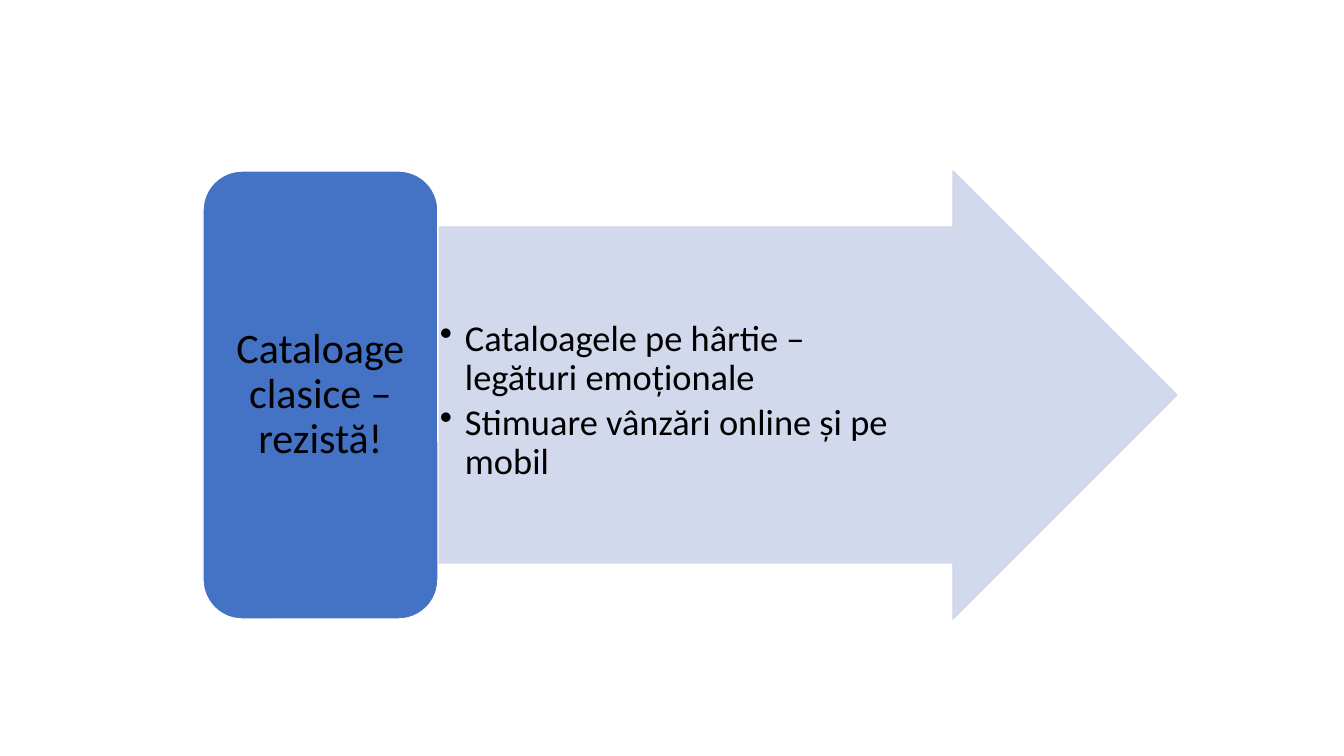
import pptx
import pptx.util
import pptx.dml.color
import pptx.enum.shapes
import pptx.enum.text
import pptx.oxml
import pptx.oxml.ns

RGB = pptx.dml.color.RGBColor
SHAPE = pptx.enum.shapes.MSO_SHAPE
ANCHOR = pptx.enum.text.MSO_ANCHOR
ALIGN = pptx.enum.text.PP_ALIGN

BLUE = RGB(0x44, 0x72, 0xC4)
PALE = RGB(0xCF, 0xD5, 0xEA)
WHITE = RGB(0xFF, 0xFF, 0xFF)
BLACK = RGB(0, 0, 0)

TOP, HEIGHT = 171, 448
LABEL_LEFT, LABEL_WIDTH, ARROW_WIDTH = 203, 235, 739
BULLET_INDENT = 25

PANELS = [
    dict(kind=SHAPE.RIGHT_ARROW, left=LABEL_LEFT + LABEL_WIDTH, width=ARROW_WIDTH,
         adj=[0.75, 0.5], fill=PALE, line=PALE, opacity=90, size=26,
         anchor=ANCHOR.TOP, align=ALIGN.LEFT, insets=(2, 93, 115, 2), bullet="•",
         text=["Cataloagele pe hârtie – legături emoționale",
               "Stimuare vânzări online și pe mobil"]),
    dict(kind=SHAPE.ROUNDED_RECTANGLE, left=LABEL_LEFT, width=LABEL_WIDTH,
         adj=[0.1667], fill=BLUE, line=WHITE, opacity=100, size=30,
         anchor=ANCHOR.MIDDLE, align=ALIGN.CENTER, insets=(12, 6, 12, 6), bullet=None,
         text=["Cataloage clasice – rezistă!"]),
]


def px(n):
    return round(n * 914400 / 100.8)


def set_all(obj, values):
    for name, value in values.items():
        setattr(obj, name, value)


def add_bullet(p, char):
    pPr = p._p.get_or_add_pPr()
    pPr.set("marL", str(px(BULLET_INDENT)))
    pPr.set("indent", str(-px(BULLET_INDENT)))
    ns = pptx.oxml.ns.nsdecls("a")
    pPr.append(pptx.oxml.parse_xml(f'<a:buChar {ns} char="{char}"/>'))


def set_opacity(sp, percent):
    ns = pptx.oxml.ns.nsdecls("a")
    for color in sp._element.spPr.iter(pptx.oxml.ns.qn("a:srgbClr")):
        color.append(pptx.oxml.parse_xml(f'<a:alpha {ns} val="{percent * 1000}"/>'))


def add_panel(slide, panel):
    sp = slide.shapes.add_shape(panel["kind"], px(panel["left"]), px(TOP),
                                px(panel["width"]), px(HEIGHT))
    sp.shadow.inherit = False
    for i, value in enumerate(panel["adj"]):
        sp.adjustments[i] = value
    sp.fill.solid()
    sp.fill.fore_color.rgb = panel["fill"]
    sp.line.color.rgb = panel["line"]
    sp.line.width = pptx.util.Pt(1)
    if panel["opacity"] < 100:
        set_opacity(sp, panel["opacity"])

    tf = sp.text_frame
    left, top, right, bottom = map(px, panel["insets"])
    set_all(tf, dict(word_wrap=True, vertical_anchor=panel["anchor"], margin_left=left,
                     margin_top=top, margin_right=right, margin_bottom=bottom))
    for i, text in enumerate(panel["text"]):
        p = tf.add_paragraph() if i else tf.paragraphs[0]
        set_all(p, dict(alignment=panel["align"], line_spacing=0.9))
        if panel["bullet"]:
            p.space_after = pptx.util.Pt(4)
            add_bullet(p, panel["bullet"])
        r = p.add_run()
        r.text = text
        set_all(r.font, dict(name="Calibri", size=pptx.util.Pt(panel["size"])))
        r.font.color.rgb = BLACK


def main():
    prs = pptx.Presentation()
    set_all(prs, dict(slide_width=px(1344), slide_height=px(756)))
    slide = prs.slides.add_slide(prs.slide_layouts[6])
    for panel in PANELS:
        add_panel(slide, panel)
    prs.save("out.pptx")


if __name__ == "__main__":
    main()
